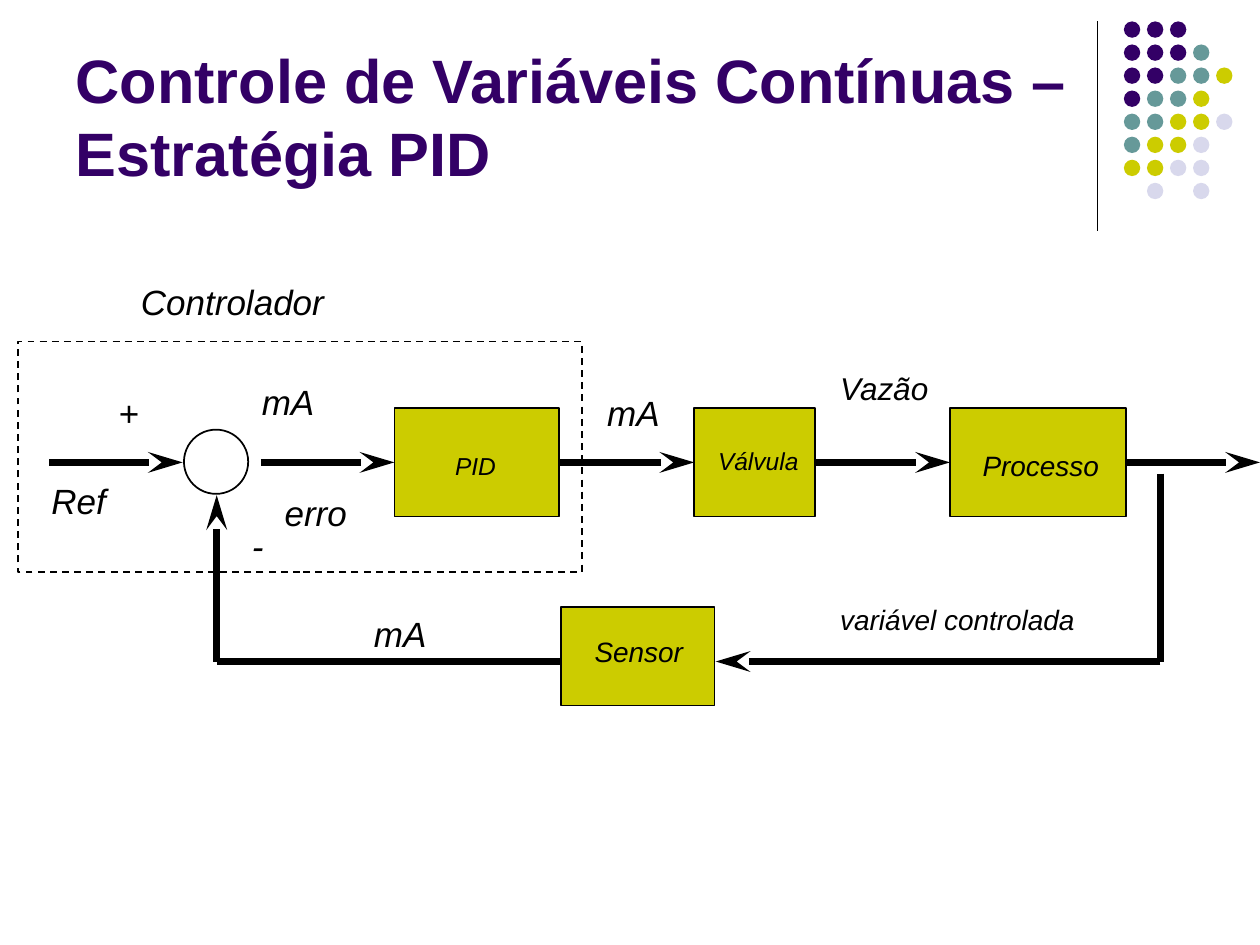
from lxml import etree
from pptx import Presentation
from pptx.dml.color import RGBColor
from pptx.enum.dml import MSO_LINE
from pptx.enum.shapes import MSO_CONNECTOR, MSO_SHAPE
from pptx.enum.text import MSO_ANCHOR, PP_ALIGN
from pptx.oxml.ns import qn
from pptx.util import Inches, Pt

RECTANGLE, OVAL = MSO_SHAPE.RECTANGLE, MSO_SHAPE.OVAL
STRAIGHT = MSO_CONNECTOR.STRAIGHT
DASH = MSO_LINE.DASH
LEFT, CENTER = PP_ALIGN.LEFT, PP_ALIGN.CENTER
BOTTOM = MSO_ANCHOR.BOTTOM
LEFT_SIDE, RIGHT_SIDE = 1, 3

FONT = "Arial"
COLORS = {
    "ink": "000000",
    "purple": "330066",
    "teal": "669999",
    "olive": "CCCC00",
    "pale": "D8D8EC",
}
DOT_COLORS = {"P": "purple", "T": "teal", "O": "olive", "L": "pale"}
DOT_ROWS = ["PPP", "PPPT", "PPTTO", "PTTO", "TTOOL", "TOOL", "OOLL", " L L"]
DOT_SIZE, DOT_PITCH = 0.13, 0.183
DOT_LEFT, DOT_TOP = 8.92, 0.17

FLOW_Y, RETURN_Y = 3.67, 5.25
SUM_X, FEEDBACK_X = 1.72, 9.21

LABELS = [
    ("Válvula", 5.6, 3.49, 1.05, 0.34, 14),
    ("Processo", 7.7, 3.51, 1.13, 0.37, 16),
    ("Sensor", 4.62, 4.99, 1.58, 0.37, 16),
    ("mA", 2.87, 4.81, 1.14, 0.44, 20),
    ("mA", 4.72, 3.06, 1.14, 0.44, 20),
    ("mA", 1.98, 2.97, 1.14, 0.44, 20),
    ("Vazão", 6.57, 2.88, 1.31, 0.4, 18),
    ("Ref", 0.31, 3.76, 0.7, 0.44, 20),
    ("Controlador", 1.02, 2.18, 2.9, 0.44, 20),
    ("+", 0.84, 3.06, 0.61, 0.44, 20),
    ("-", 1.9, 4.11, 0.52, 0.44, 20),
    ("erro", 2.16, 3.85, 0.78, 0.44, 20),
    ("variável controlada", 6.57, 4.73, 2.46, 0.37, 16),
]


def rgb(name):
    return RGBColor.from_string(COLORS[name])


def add_run(paragraph, text, size, color="ink", bold=False, italic=False):
    run = paragraph.add_run()
    run.text = text
    run.font.name = FONT
    run.font.size = Pt(size)
    run.font.bold = bold
    run.font.italic = italic
    run.font.color.rgb = rgb(color)


def add_title(slide, text):
    title = slide.shapes.title
    title.left, title.top = Inches(0.5), Inches(0.13)
    title.width, title.height = Inches(8.25), Inches(1.42)
    title.text_frame.word_wrap = True
    title.text_frame.vertical_anchor = BOTTOM
    paragraph = title.text_frame.paragraphs[0]
    paragraph.alignment = LEFT
    add_run(paragraph, text, 35, "purple", bold=True)


def add_figure(slide, kind, left, top, width, height, fill=None, outline=True):
    figure = slide.shapes.add_shape(
        kind, Inches(left), Inches(top), Inches(width), Inches(height))
    figure.shadow.inherit = False
    if fill:
        figure.fill.solid()
        figure.fill.fore_color.rgb = rgb(fill)
    else:
        figure.fill.background()
    if outline:
        figure.line.color.rgb = rgb("ink")
        figure.line.width = Pt(1)
    else:
        figure.line.fill.background()
    return figure


def add_block(slide, left, top, width, height):
    return add_figure(slide, RECTANGLE, left, top, width, height, "olive")


def add_dots(slide):
    for row, marks in enumerate(DOT_ROWS):
        for column, mark in enumerate(marks):
            if mark in DOT_COLORS:
                add_figure(slide, OVAL, DOT_LEFT + column * DOT_PITCH,
                           DOT_TOP + row * DOT_PITCH, DOT_SIZE, DOT_SIZE,
                           DOT_COLORS[mark], outline=False)


def add_line(slide, start, end, width=4, arrow=False, source=None, target=None):
    line = slide.shapes.add_connector(
        STRAIGHT, *[Inches(value) for value in (*start, *end)])
    line.line.color.rgb = rgb("ink")
    line.line.width = Pt(width)
    if source is not None:
        line.begin_connect(source, RIGHT_SIDE)
    if target is not None:
        line.end_connect(target, LEFT_SIDE)
    if arrow:
        etree.SubElement(line.line._get_or_add_ln(), qn("a:tailEnd"),
                         type="stealth", w="med", len="lg")
    etree.SubElement(line._element.spPr, qn("a:effectLst"))


def add_label(slide, text, left, top, width, height, size,
              alignment=LEFT, wrap=True):
    label = slide.shapes.add_textbox(
        Inches(left), Inches(top), Inches(width), Inches(height))
    label.text_frame.word_wrap = wrap
    paragraph = label.text_frame.paragraphs[0]
    paragraph.alignment = alignment
    add_run(paragraph, text, size, italic=True)


def add_control_loop(slide):
    add_figure(slide, OVAL, 1.46, 3.41, 0.51, 0.51)
    pid = add_block(slide, 3.13, 3.24, 1.31, 0.86)
    valve = add_block(slide, 5.51, 3.24, 0.96, 0.86)
    process = add_block(slide, 7.54, 3.24, 1.4, 0.86)
    add_block(slide, 4.45, 4.82, 1.22, 0.78)
    controller = add_figure(slide, RECTANGLE, 0.14, 2.71, 4.48, 1.83)
    controller.line.dash_style = DASH

    forward_path = [
        (0.39, 1.45, None, None),
        (2.07, 3.13, None, pid),
        (4.44, 5.51, pid, valve),
        (6.47, 7.54, valve, process),
        (8.94, 10, process, None),
    ]
    for start, end, source, target in forward_path:
        add_line(slide, (start, FLOW_Y), (end, FLOW_Y), arrow=True,
                 source=source, target=target)

    add_line(slide, (FEEDBACK_X, 3.76), (FEEDBACK_X, RETURN_Y))
    add_line(slide, (FEEDBACK_X, RETURN_Y), (5.68, RETURN_Y), arrow=True)
    add_line(slide, (SUM_X, RETURN_Y), (4.45, RETURN_Y))
    add_line(slide, (SUM_X, RETURN_Y), (SUM_X, 3.93), arrow=True)

    add_label(slide, "PID", 3.51, 3.53, 0.53, 0.34, 14, CENTER, wrap=False)
    for label in LABELS:
        add_label(slide, *label)


def main():
    presentation = Presentation()
    presentation.slide_width = Inches(10)
    presentation.slide_height = Inches(7.5)
    slide = presentation.slides.add_slide(presentation.slide_layouts[5])
    add_line(slide, (8.71, 0.17), (8.71, 1.83), width=0.75)
    add_dots(slide)
    add_title(slide, "Controle de Variáveis Contínuas – Estratégia PID")
    add_control_loop(slide)
    presentation.save("out.pptx")


if __name__ == "__main__":
    main()
